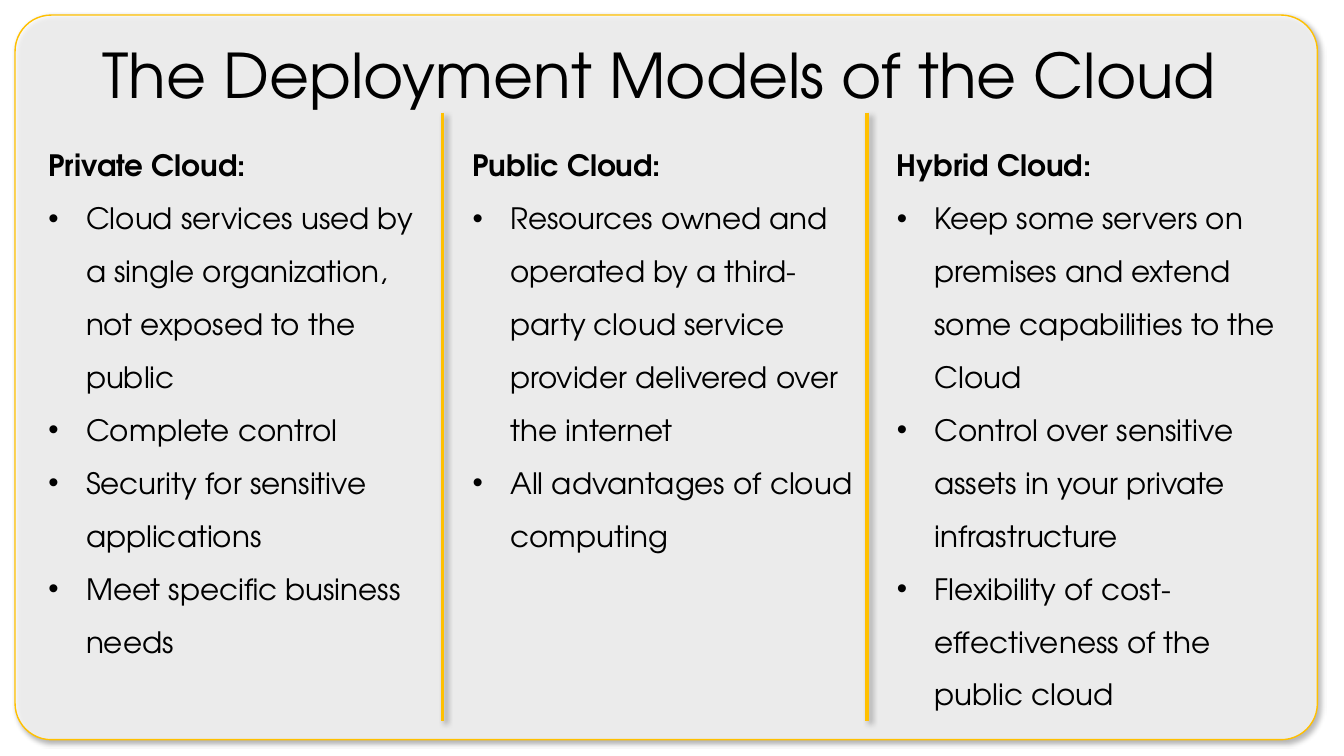
import pptx
import pptx.dml.color
import pptx.enum.shapes
import pptx.enum.text
import pptx.oxml
import pptx.oxml.ns
import pptx.util
from lxml import etree
from pptx.util import Cm

BLACK = pptx.dml.color.RGBColor(0x00, 0x00, 0x00)
WHITE = pptx.dml.color.RGBColor(0xFF, 0xFF, 0xFF)
GOLD = pptx.dml.color.RGBColor(0xFF, 0xC0, 0x00)
FONT = "TeX Gyre Adventor"

TITLE = "The Deployment Models of the Cloud"
COLUMNS = [
    ("Private Cloud:", Cm(13.72), [
        "Cloud services used by a single organization, not exposed to the public",
        "Complete control",
        "Security for sensitive applications",
        "Meet specific business needs",
    ]),
    ("Public Cloud:", Cm(12.37), [
        "Resources owned and operated by a third-party cloud service provider delivered over the internet",
        "All advantages of cloud computing",
    ]),
    ("Hybrid Cloud:", Cm(16.41), [
        "Keep some servers on premises and extend some capabilities to the Cloud",
        "Control over sensitive assets in your private infrastructure",
        "Flexibility of cost-effectiveness of the public cloud",
    ]),
]
COLUMN_LEFT = Cm(0.97)
COLUMN_TOP = Cm(3.15)
COLUMN_WIDTH = Cm(10.19)
COLUMN_PITCH = Cm(10.69)
BULLET_INDENT = Cm(0.95)

SHADOW = (
    f'<a:effectLst {pptx.oxml.ns.nsdecls("a")}>'
    '<a:outerShdw blurRad="50800" dist="38100" dir="2700000" algn="tl" rotWithShape="0">'
    '<a:srgbClr val="000000"><a:alpha val="40000"/></a:srgbClr>'
    '</a:outerShdw></a:effectLst>'
)


def add_shadow(shape):
    shape.element.spPr.append(pptx.oxml.parse_xml(SHADOW))


def format_runs(paragraph, size, bold=False):
    for run in paragraph.runs:
        run.font.name = FONT
        run.font.size = pptx.util.Pt(size)
        run.font.bold = bold
        run.font.color.rgb = BLACK


def add_panel(slide):
    panel = slide.shapes.add_shape(
        pptx.enum.shapes.MSO_SHAPE.ROUNDED_RECTANGLE,
        Cm(0.38), Cm(0.38), Cm(32.82), Cm(18.26))
    panel.adjustments[0] = 0.05
    panel.fill.solid()
    panel.fill.fore_color.rgb = WHITE
    color = panel.element.spPr.find(".//" + pptx.oxml.ns.qn("a:srgbClr"))
    etree.SubElement(color, pptx.oxml.ns.qn("a:alpha"), val="75000")
    panel.line.color.rgb = GOLD
    panel.line.width = pptx.util.Pt(1)
    add_shadow(panel)
    slide.shapes.title.element.addprevious(panel.element)


def set_title(slide):
    title = slide.shapes.title
    title.left, title.top, title.width, title.height = Cm(2.33), Cm(0.13), Cm(29.21), Cm(3.68)
    frame = title.text_frame
    frame.text = TITLE
    frame.auto_size = pptx.enum.text.MSO_AUTO_SIZE.NONE
    frame.vertical_anchor = pptx.enum.text.MSO_ANCHOR.MIDDLE
    paragraph = frame.paragraphs[0]
    paragraph.alignment = pptx.enum.text.PP_ALIGN.LEFT
    paragraph.line_spacing = 0.9
    format_runs(paragraph, 44)


def add_bullet(paragraph):
    properties = paragraph._p.get_or_add_pPr()
    properties.set("marL", str(BULLET_INDENT))
    properties.set("indent", str(-BULLET_INDENT))
    etree.SubElement(properties, pptx.oxml.ns.qn("a:buFont"), typeface="Arial")
    etree.SubElement(properties, pptx.oxml.ns.qn("a:buChar"), char="•")


def add_column(slide, left, height, heading, points):
    frame = slide.shapes.add_textbox(left, COLUMN_TOP, COLUMN_WIDTH, height).text_frame
    frame.word_wrap = True
    frame.auto_size = pptx.enum.text.MSO_AUTO_SIZE.SHAPE_TO_FIT_TEXT
    frame.text = "\n".join([heading, *points])
    for index, paragraph in enumerate(frame.paragraphs):
        paragraph.line_spacing = 1.5
        format_runs(paragraph, 21, bold=index == 0)
        if index > 0:
            add_bullet(paragraph)


def add_divider(slide, x):
    divider = slide.shapes.add_connector(
        pptx.enum.shapes.MSO_CONNECTOR.STRAIGHT, x, Cm(2.84), x, Cm(18.16))
    divider.line.color.rgb = GOLD
    divider.line.width = pptx.util.Pt(2.25)
    add_shadow(divider)


def main():
    presentation = pptx.Presentation()
    presentation.slide_width = Cm(33.87)
    presentation.slide_height = Cm(19.05)
    slide = presentation.slides.add_slide(presentation.slide_layouts[5])
    add_panel(slide)
    set_title(slide)
    for index, (heading, height, points) in enumerate(COLUMNS):
        left = COLUMN_LEFT + index * COLUMN_PITCH
        add_column(slide, left, height, heading, points)
        if index < len(COLUMNS) - 1:
            add_divider(slide, left + COLUMN_WIDTH)
    presentation.save("out.pptx")


if __name__ == "__main__":
    main()
